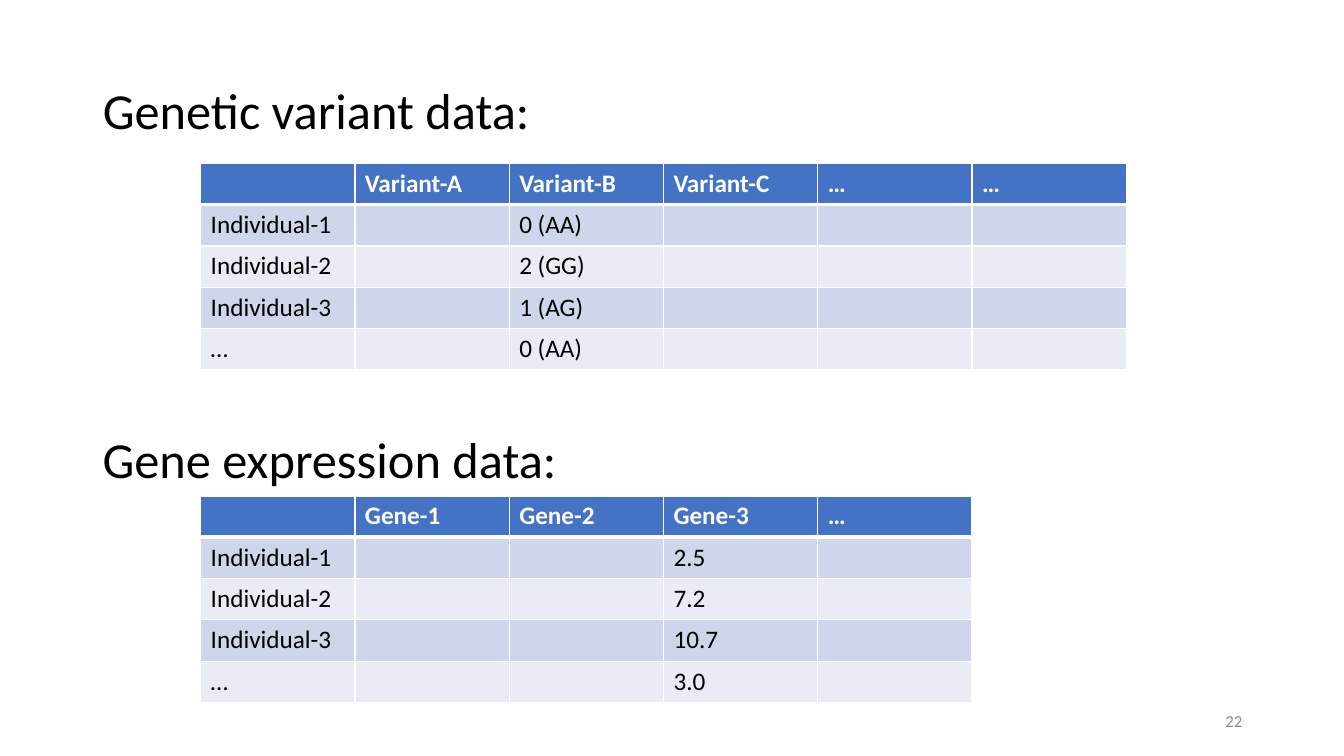
from dataclasses import dataclass

from lxml import etree
from pptx import Presentation
from pptx import util as u
from pptx.dml.color import RGBColor
from pptx.enum import text
from pptx.oxml.ns import qn


@dataclass(frozen=True)
class Theme:
    """Colours, font and type sizes of the slide."""
    face: str = "Calibri"
    ink: str = "000000"
    pale: str = "FFFFFF"
    gray: str = "8C8C8C"
    head: str = "4472C4"
    bands: tuple = ("CFD5EA", "E9EBF5")
    big: int = 36
    body: int = 18
    small: int = 12


THEME = Theme()
LEFT, RIGHT = text.PP_ALIGN.LEFT, text.PP_ALIGN.RIGHT
COL, ROW = 1.53, 0.41
PEOPLE = ["Individual-1", "Individual-2", "Individual-3", "…"]


def apply(item, form):
    """Set each attribute of item from the format values."""
    for key, value in form.items():
        setattr(item, key, value)


def write(para, words, size, color, bold=False):
    """Add one styled run to a paragraph."""
    run = para.add_run()
    run.text = words
    apply(run.font, {"name": THEME.face, "size": u.Pt(size), "bold": bold})
    run.font.color.rgb = RGBColor.from_string(color)


def label(shape, box, words, size, color, form):
    """Place a text shape in its box and write one middle-anchored line."""
    apply(shape, dict(zip(("left", "top", "width", "height"), map(u.Inches, box))))
    apply(shape.text_frame, {
        "word_wrap": True,
        "auto_size": text.MSO_AUTO_SIZE.NONE,
        "vertical_anchor": text.MSO_ANCHOR.MIDDLE,
    })
    para = shape.text_frame.paragraphs[0]
    apply(para, form)
    write(para, words, size, color)


def heading(shape, top):
    """Format a shape as a section heading at the given height."""
    label(shape, (0.92, top, 11.5, 1.45), words=HEADS[top], size=THEME.big,
          color=THEME.ink, form={"alignment": LEFT, "line_spacing": 0.9})


def border(cell, side, width):
    """Draw one white edge of a cell."""
    edge = etree.SubElement(cell._tc.get_or_add_tcPr(), qn(f"a:ln{side}"),
                            w=str(u.Pt(width)))
    fill = etree.SubElement(edge, qn("a:solidFill"))
    etree.SubElement(fill, qn("a:srgbClr"), val=THEME.pale)


def grid(slide, left, top, heads, column, values):
    """Build a banded table with one column of values filled in."""
    rows = [[""] + heads]
    for name, value in zip(PEOPLE, values):
        row = [name] + [""] * len(heads)
        row[column] = value
        rows.append(row)
    count = len(rows[0])
    table = slide.shapes.add_table(
        len(rows), count, u.Inches(left), u.Inches(top),
        u.Inches(COL * count), u.Inches(ROW * len(rows))).table
    for col in table.columns:
        col.width = u.Inches(COL)
    for i, row in enumerate(rows):
        table.rows[i].height = u.Inches(ROW)
        first = i == 0
        shade = THEME.head if first else THEME.bands[(i - 1) % 2]
        for j, words in enumerate(row):
            cell = table.cell(i, j)
            for side in "LRTB":
                thick = (first and side == "B") or (i == 1 and side == "T")
                border(cell, side, 3 if thick else 1)
            cell.fill.solid()
            cell.fill.fore_color.rgb = RGBColor.from_string(shade)
            if words:
                write(cell.text_frame.paragraphs[0], words, THEME.body,
                      THEME.pale if first else THEME.ink, first)


HEADS = {0.4: "Genetic variant data:", 3.86: "Gene expression data:"}


def main():
    """Build the slide and save it."""
    deck = Presentation()
    apply(deck, {"slide_width": u.Inches(13.33), "slide_height": u.Inches(7.5)})
    slide = deck.slides.add_slide(deck.slide_layouts[5])
    heading(slide.shapes.title, 0.4)
    grid(slide, 1.99, 1.62,
         ["Variant-A", "Variant-B", "Variant-C", "…", "…"],
         2, ["0 (AA)", "2 (GG)", "1 (AG)", "0 (AA)"])
    label(slide.shapes.add_textbox(0, 0, 0, 0), (9.42, 6.95, 3, 0.4), "22",
          THEME.small, THEME.gray, {"alignment": RIGHT})
    grid(slide, 1.99, 4.92, ["Gene-1", "Gene-2", "Gene-3", "…"],
         3, ["2.5", "7.2", "10.7", "3.0"])
    heading(slide.shapes.add_textbox(0, 0, 0, 0), 3.86)
    deck.save("out.pptx")


if __name__ == "__main__":
    main()
